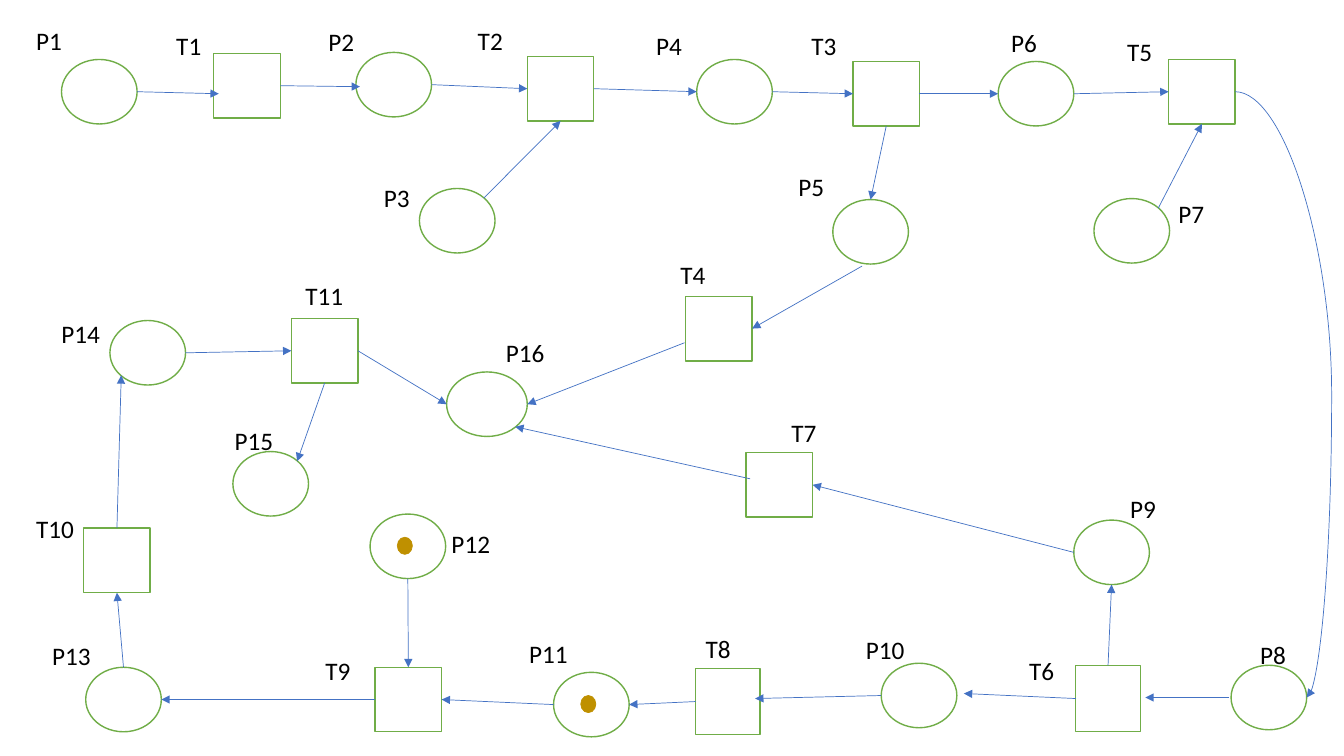
from pptx import Presentation
from pptx.dml.color import RGBColor
from pptx.enum.shapes import MSO_CONNECTOR, MSO_SHAPE
from pptx.oxml.ns import qn
from pptx.util import Inches, Pt
from lxml import etree

CIRCLE, SQUARE = MSO_SHAPE.OVAL, MSO_SHAPE.RECTANGLE
STRAIGHT, CURVE = MSO_CONNECTOR.STRAIGHT, MSO_CONNECTOR.CURVE
WHITE, BLACK, GREEN, BLUE, GOLD = "FFFFFF", "000000", "70AD47", "4472C4", "BF9000"

# Petri net nodes: left and top of the node, then left and top of its label
NODES = {
    "P1": (0.61, 0.59, 0.26, 0.20), "T1": (2.12, 0.53, 1.65, 0.25),
    "P2": (3.53, 0.52, 3.16, 0.21), "T2": (5.23, 0.56, 4.64, 0.20),
    "P3": (4.16, 1.87, 3.71, 1.76), "P4": (6.91, 0.59, 6.41, 0.25),
    "T3": (8.46, 0.61, 7.95, 0.25), "P5": (8.26, 1.98, 7.82, 1.65),
    "T4": (6.80, 2.94, 6.65, 2.52), "P6": (9.90, 0.61, 9.93, 0.22),
    "T5": (11.59, 0.59, 11.08, 0.31), "P7": (10.85, 1.97, 11.59, 1.92),
    "P8": (12.21, 6.60, 12.40, 6.29), "T6": (10.67, 6.60, 10.11, 6.45),
    "P9": (10.65, 5.16, 11.11, 4.84), "T7": (7.40, 4.49, 7.75, 4.09),
    "P10": (8.74, 6.58, 8.49, 6.24), "T8": (6.90, 6.63, 6.90, 6.23),
    "P11": (5.49, 6.67, 5.15, 6.28), "P12": (3.67, 5.10, 4.38, 5.19),
    "T9": (3.72, 6.62, 3.13, 6.45), "P13": (0.85, 6.62, 0.42, 6.30),
    "T10": (0.83, 5.24, 0.26, 5.04), "P14": (1.09, 3.18, 0.51, 3.11),
    "T11": (2.89, 3.16, 2.93, 2.73), "P15": (2.31, 4.48, 2.23, 4.17),
    "P16": (4.43, 3.69, 4.92, 3.30),
}
KIND_SIZES = {"P": (0.75, 0.64), "T": (0.66, 0.64)}
SPECIAL_SIZES = {"T6": (0.64, 0.66), "T8": (0.64, 0.66), "P16": (0.80, 0.64)}
MARKED = ["P11", "P12"]
TOKEN_OFFSET, TOKEN_SIZE = (0.27, 0.23), (0.15, 0.17)
LABEL_SIZE = (0.66, 0.40)

# Each end is a side of a node, or a free point (x, y)
ARROWS = [
    ("P1 right", (2.17, 0.93)), ("T1 right", (3.57, 0.86)),
    ("P2 right", "T2 left"), ("P3 upper-right", "T2 bottom"),
    ("T2 right", "P4 left"), ("P4 right", "T3 left"),
    ("T3 right", "P6 left"), ("T3 bottom", "P5 top"),
    ((8.55, 2.64), "T4 right"), ((6.79, 3.40), "P16 right"),
    ("P6 right", "T5 left"), ("P7 upper-right", "T5 bottom"),
    ((12.19, 6.92), (11.36, 6.92)), ("T6 top", "P9 bottom"),
    ("P9 left", "T7 right"), ((7.44, 4.75), "P16 lower-right"),
    ("T6 left", (9.56, 6.88)), ("P10 left", (7.49, 6.93)),
    ("T8 left", "P11 right"), ("P11 left", "T9 right"),
    ("P12 bottom", "T9 top"), ("T9 left", "P13 right"),
    ("P13 top", "T10 bottom"), ("T10 top", "P14 lower-left"),
    ("P14 right", "T11 left"), ("T11 bottom", "P15 upper-right"),
    ("T11 right", "P16 left"),
]
CURVED_ARROW, CURVE_BEND = ("T5 right", "P8 right"), 134900

# Sides as shares of a node's width and height
SIDES = {
    "top": (0.5, 0), "bottom": (0.5, 1), "left": (0, 0.5), "right": (1, 0.5),
    "upper-right": (0.85, 0.15), "lower-right": (0.85, 0.85),
    "lower-left": (0.15, 0.85),
}


def color(value):
    return RGBColor.from_string(value)


def node_size(name):
    return SPECIAL_SIZES.get(name, KIND_SIZES[name[0]])


def locate(end):
    """Return the point, in inches, of one end of an arrow."""
    if not isinstance(end, str):
        return end
    name, side = end.split()
    return [start + length * share for start, length, share
            in zip(NODES[name][:2], node_size(name), SIDES[side])]


def add_figure(page, kind, position, size, fill, line, width):
    figure = page.shapes.add_shape(kind, *map(Inches, (*position, *size)))
    figure.shadow.inherit = False
    figure.fill.solid()
    figure.fill.fore_color.rgb = color(fill)
    figure.line.color.rgb = color(line)
    figure.line.width = Pt(width)


def add_label(page, text, position, size=18, font="Calibri", ink=BLACK):
    box = page.shapes.add_textbox(*map(Inches, (*position, *LABEL_SIZE)))
    box.text_frame.word_wrap = True
    span = box.text_frame.paragraphs[0].add_run()
    span.text = text
    span.font.size = Pt(size)
    span.font.name = font
    span.font.color.rgb = color(ink)


def add_arrow(page, start, end, kind=STRAIGHT):
    points = (*locate(start), *locate(end))
    arrow = page.shapes.add_connector(kind, *map(Inches, points))
    arrow.line.color.rgb = color(BLUE)
    arrow.line.width = Pt(0.5)
    properties = arrow.element.spPr
    etree.SubElement(properties.find(qn("a:ln")), qn("a:tailEnd"), type="triangle")
    etree.SubElement(properties, qn("a:effectLst"))
    return arrow


def bend(arrow, amount):
    guides = arrow.element.spPr.find(qn("a:prstGeom")).find(qn("a:avLst"))
    etree.SubElement(guides, qn("a:gd"), name="adj1", fmla=f"val {amount}")


def main():
    deck = Presentation()
    deck.slide_width, deck.slide_height = Inches(13.33), Inches(7.5)
    page = deck.slides.add_slide(deck.slide_layouts[6])

    for name, (left, top, *_) in NODES.items():
        kind = CIRCLE if name[0] == "P" else SQUARE
        add_figure(page, kind, (left, top), node_size(name), WHITE, GREEN, 1)
    for name, (*_, left, top) in NODES.items():
        add_label(page, name, (left, top))
    for name in MARKED:
        position = [a + b for a, b in zip(NODES[name], TOKEN_OFFSET)]
        add_figure(page, CIRCLE, position, TOKEN_SIZE, GOLD, GOLD, 0.5)
    for start, end in ARROWS:
        add_arrow(page, start, end)
    bend(add_arrow(page, *CURVED_ARROW, kind=CURVE), CURVE_BEND)

    deck.save("out.pptx")


if __name__ == "__main__":
    main()
